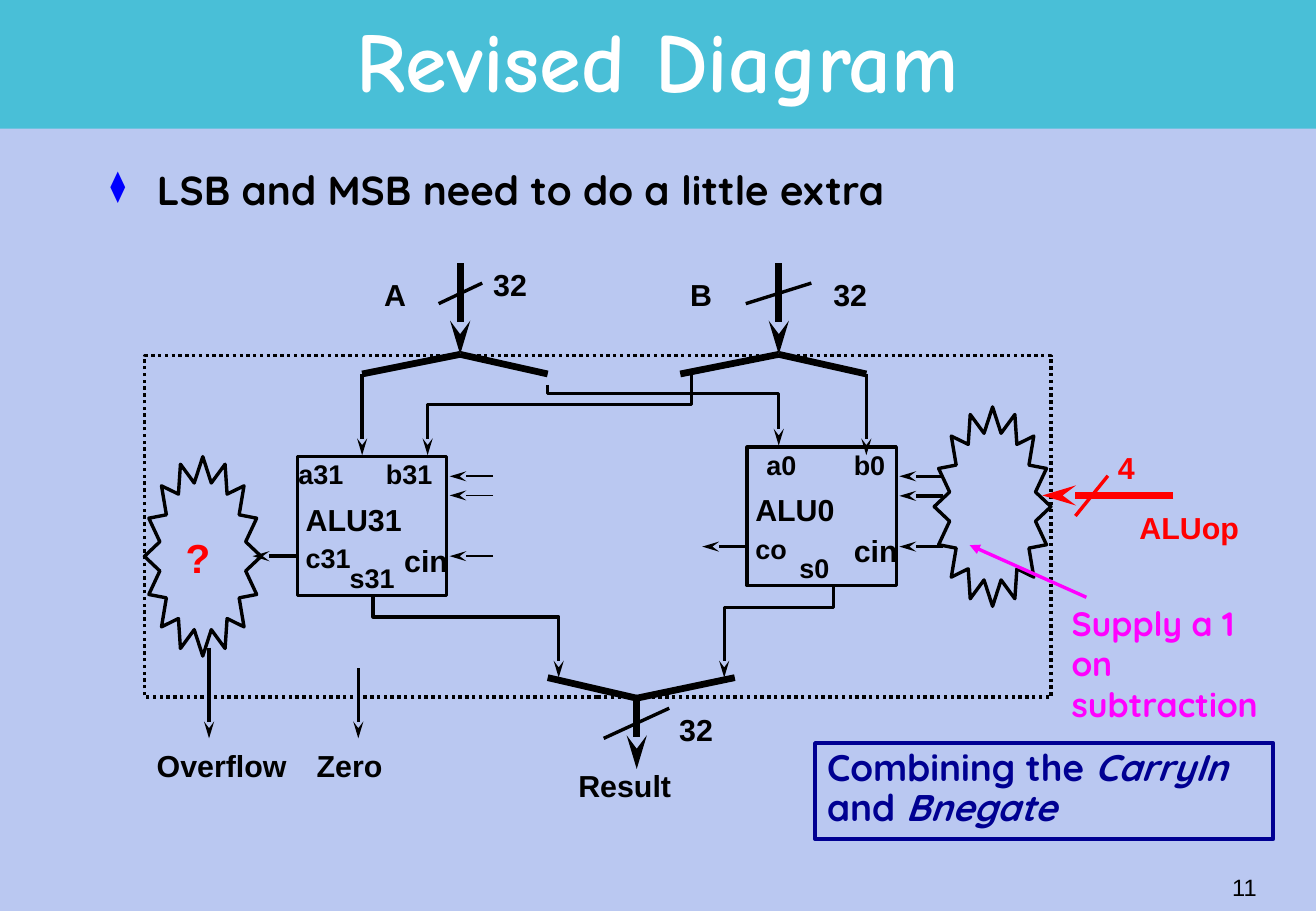
from dataclasses import dataclass
from typing import NamedTuple

from lxml.etree import SubElement
from pptx import Presentation
from pptx.dml.color import RGBColor as Rgb
from pptx.enum.dml import MSO_LINE as Dash
from pptx.enum.shapes import MSO_CONNECTOR as Link, MSO_SHAPE as Shape
from pptx.enum.text import MSO_ANCHOR as Anchor, PP_ALIGN as Align
from pptx.oxml.ns import qn
from pptx.util import Cm, Pt


class Box(NamedTuple):
    """A region in centimetres."""
    x: float
    y: float
    w: float
    h: float

    def at(self, dx, dy, w, h):
        """Return a box offset from this one's corner."""
        return Box(self.x + dx, self.y + dy, w, h)

    def lengths(self):
        """Return left, top, width and height as lengths."""
        return [Cm(value) for value in self]


@dataclass(frozen=True)
class Theme:
    """Colours, fonts and type sizes of the slide."""
    back: str = "BAC8F1"
    band: str = "49BFD7"
    ink: str = "000000"
    white: str = "FFFFFF"
    red: str = "FF0000"
    pink: str = "FF00FF"
    navy: str = "000092"
    bullet: str = "0000FF"
    display: str = "Comic Neue"
    body: str = "Quicksand"
    label: str = "Arial"
    title_size: int = 50
    body_size: int = 24
    note_size: int = 22
    hint_size: int = 20
    label_size: int = 18
    pin_size: int = 16
    number_size: int = 14


THEME = Theme()
TIGHT = dict(margin_left=Cm(0.18), margin_right=Cm(0.18),
             margin_top=Cm(0.08), margin_bottom=Cm(0.08))
ROOMY = dict(margin_left=Cm(0.25), margin_right=Cm(0.25),
             margin_top=Cm(0.13), margin_bottom=Cm(0.13))


def assign(target, values):
    """Set every attribute in a dict of format values."""
    for name, value in values.items():
        setattr(target, name, value)


def write(shape, runs, size, color=THEME.ink, font=THEME.label, bold=True,
          spacing=1.0, align=Align.LEFT, anchor=Anchor.TOP, wrap=False, margins=ROOMY):
    """Fill a shape with one paragraph of (text, italic) runs."""
    frame = shape.text_frame
    assign(frame, dict(margins, word_wrap=wrap, vertical_anchor=anchor))
    paragraph = frame.paragraphs[0]
    assign(paragraph, dict(alignment=align, line_spacing=spacing, space_before=Pt(0)))
    for text, italic in runs:
        run = paragraph.add_run()
        run.text = text
        assign(run.font, dict(name=font, size=Pt(size), bold=bold, italic=italic))
        run.font.color.rgb = Rgb.from_string(color)
    return paragraph


def add_text(slide, box, text, size, **look):
    """Add a text box holding one plain run."""
    return write(slide.shapes.add_textbox(*box.lengths()), [(text, False)], size, **look)


def add_label(slide, box, text, **look):
    """Add a tightly set diagram label."""
    look = dict(dict(spacing=0.85, margins=TIGHT), **look)
    add_text(slide, box, text, THEME.label_size, **look)


def stroke(shape, weight, color=THEME.ink, head=None, length="lg"):
    """Set a line's colour and width and an optional arrowhead at its end."""
    shape.line.color.rgb = Rgb.from_string(color)
    shape.line.width = Pt(weight)
    if head:
        SubElement(shape.element.spPr.find(qn("a:ln")), qn("a:tailEnd"),
                   type=head, w="med", len=length)


def add_line(slide, box, start, end, weight=2, color=THEME.ink, head=None, length="lg"):
    """Draw a straight line between two points of a box."""
    ends = [Cm(origin + offset) for point in (start, end)
            for origin, offset in zip((box.x, box.y), point)]
    line = slide.shapes.add_connector(Link.STRAIGHT, *ends)
    stroke(line, weight, color, head, length)
    SubElement(line.element.spPr, qn("a:effectLst"))


def add_route(slide, box, *points):
    """Draw an angular wire that ends in an arrow."""
    first, *rest = [(Cm(box.x + x), Cm(box.y + y)) for x, y in points]
    builder = slide.shapes.build_freeform(*first)
    builder.add_line_segments(rest, close=False)
    wire = builder.convert_to_shape()
    wire.fill.background()
    wire.shadow.inherit = False
    stroke(wire, 2, head="stealth")


def add_outline(slide, box, kind=Shape.RECTANGLE, weight=2, color=THEME.ink):
    """Add an unfilled outlined shape."""
    outline = slide.shapes.add_shape(kind, *box.lengths())
    outline.fill.background()
    outline.shadow.inherit = False
    stroke(outline, weight, color)
    return outline


def draw_header(slide, box):
    """Draw the title band and set the title on it."""
    band = slide.shapes.add_shape(Shape.RECTANGLE, *box.lengths())
    band.fill.solid()
    band.fill.fore_color.rgb = Rgb.from_string(THEME.band)
    band.line.fill.background()
    band.shadow.inherit = False
    title = slide.shapes.title
    area = box.at(2.06, 0.13, 23.39, 2.51)
    assign(title, dict(zip(("left", "top", "width", "height"), area.lengths())))
    write(title, [("Revised Diagram", False)], THEME.title_size, color=THEME.white,
          font=THEME.display, spacing=0.85, align=Align.CENTER,
          anchor=Anchor.MIDDLE, wrap=True)
    slide.shapes.element.append(title.element)


def draw_point(slide, box):
    """Write the bulleted statement."""
    point = add_text(slide, box, "LSB and MSB need to do a little extra",
                     THEME.body_size, font=THEME.body, spacing=0.9, wrap=True)
    props = point._p.get_or_add_pPr()
    props.set("marL", str(Cm(0.97)))
    props.set("indent", str(-Cm(0.97)))
    SubElement(SubElement(props, qn("a:buClr")), qn("a:srgbClr"), val=THEME.bullet)
    SubElement(props, qn("a:buSzPct"), val="75000")
    SubElement(props, qn("a:buChar"), char="⧫")


def draw_alu(slide, box, bit, carry, name_width, pin_width, shift, controls, weight):
    """Draw a one-bit ALU with its pin names and side arrows."""
    add_outline(slide, box)
    add_text(slide, box.at(-0.08, 0.79, name_width, 1.02), f"ALU{bit}", THEME.label_size)
    add_text(slide, box.at(1.98, 1.65, 1.42, 1.02), "cin", THEME.label_size)
    for pin, x, y in ((f"a{bit}", shift - 0.23, -0.11), (f"b{bit}", shift + 1.6, -0.11),
                      (carry, -0.08, 1.65), (f"s{bit}", 0.84, 2.06)):
        add_text(slide, box.at(x, y, pin_width, 0.94), pin, THEME.pin_size)
    for y in (*controls, 2.08):
        add_line(slide, box, (4.09, y), (3.18, y), weight, head="stealth")
    add_line(slide, box, (-0.03, 2.08), (-0.94, 2.08), head="stealth")


def draw_buses(slide, box):
    """Draw the wide operand, result and operation buses with their labels."""
    for start, end, color in (((6.6, -1.93), (6.6, -0.03), THEME.ink),
                              ((13.26, -1.93), (13.26, -0.03), THEME.ink),
                              ((10.29, 7.16), (10.29, 8.64), THEME.ink),
                              ((21.51, 2.92), (18.77, 2.92), THEME.red)):
        add_line(slide, box, start, end, 4, color, "stealth")
    for start, end, color in (((6.15, -1.09), (7.06, -1.52), THEME.ink),
                              ((12.57, -1.09), (13.94, -1.52), THEME.ink),
                              ((9.6, 8), (10.97, 7.37), THEME.ink),
                              ((19.46, 3.35), (20.14, 2.51), THEME.red)):
        add_line(slide, box, start, end, color=color)
    for hub, tips in (((6.6, -0.03), ((4.55, 0.38), (8.43, 0.38))),
                      ((13.26, -0.03), ((11.2, 0.38), (15.09, 0.38))),
                      ((10.29, 7.16), ((8.43, 6.73), (12.34, 6.73)))):
        for tip in tips:
            add_line(slide, box, hub, tip, 4)
    for text, x, y, width, color in (
            ("A", 4.83, -1.63, 0.89, THEME.ink), ("32", 7.11, -1.83, 1.14, THEME.ink),
            ("B", 11.23, -1.63, 0.89, THEME.ink), ("32", 14.22, -1.63, 1.14, THEME.ink),
            ("32", 11, 7.47, 1.14, THEME.ink), ("Result", 8.89, 8.64, 2.49, THEME.ink),
            ("4", 20.17, 1.98, 0.71, THEME.red), ("ALUop", 20.62, 3.25, 2.44, THEME.red)):
        add_label(slide, box.at(x, y, width, 0.79), text, color=color)


def draw_wires(slide, box):
    """Draw the single-bit wires and the status outputs."""
    for x, top, bottom in ((4.55, 0.38, 2.08), (15.09, 0.38, 2.08),
                           (1.35, 6.1, 8), (4.47, 6.53, 8)):
        add_line(slide, box, (x, top), (x, bottom), head="stealth")
    for x, top, turn, end, bottom in ((8.43, 0.61, 0.79, 13.26, 1.88),
                                      (11.43, 0.38, 1.02, 5.92, 2.08),
                                      (4.78, 5.05, 5.46, 8.66, 6.73),
                                      (14.4, 4.83, 5.26, 12.12, 6.73)):
        add_route(slide, box, (x, top), (x, turn), (end, turn), (end, bottom))
    for text, x, width in (("Overflow", -0.05, 3.33), ("Zero", 3.35, 1.88)):
        add_label(slide, box.at(x, 8.23, width, 0.79), text, align=Align.CENTER)


def draw_extras(slide, box):
    """Draw the extra logic of both end bits and the hint on subtraction."""
    for x, y in ((16.51, 1.07), (0, 2.11)):
        burst = add_outline(slide, box.at(x, y, 2.44, 4.17), Shape.STAR_16_POINT)
        burst.adjustments[0] = 0.375
    add_text(slide, box.at(0.61, 3.58, 1.12, 1.27), "?", THEME.body_size, color=THEME.red)
    add_line(slide, box, (19.69, 5.05), (17.25, 3.96), color=THEME.pink,
             head="triangle", length="med")
    add_text(slide, box.at(19.13, 5.03, 4.62, 2.79), "Supply a 1 on subtraction",
             THEME.hint_size, color=THEME.pink, font=THEME.body, wrap=True)


def draw_diagram(slide, box):
    """Draw the whole ALU inside its dotted frame."""
    add_outline(slide, box).line.dash_style = Dash.ROUND_DOT
    draw_buses(slide, box)
    draw_alu(slide, box.at(12.6, 1.91, 3.12, 2.9), 0, "co", 2.36, 1.26, 0.38, (0.61, 1.02), 2)
    draw_alu(slide, box.at(3.2, 2.11, 3.12, 2.9), 31, "c31", 2.74, 1.58, 0, (0.41, 0.81), 1)
    draw_wires(slide, box)
    draw_extras(slide, box)


def draw_note(slide, box):
    """Draw the framed remark."""
    write(add_outline(slide, box, weight=2.25, color=THEME.navy),
          [("Combining the ", False), ("CarryIn ", True), ("and ", False), ("Bnegate", True)],
          THEME.note_size, color=THEME.navy, font=THEME.body, spacing=0.9, wrap=True)


def main():
    """Build and save the slide."""
    deck = Presentation()
    assign(deck, dict(slide_width=Cm(27.51), slide_height=Cm(19.05)))
    slide = deck.slides.add_slide(deck.slide_layouts[5])
    slide.background.fill.solid()
    slide.background.fill.fore_color.rgb = Rgb.from_string(THEME.back)
    draw_header(slide, Box(0, 0, 27.51, 2.69))
    draw_point(slide, Box(2.06, 3.43, 23.39, 14.12))
    draw_diagram(slide, Box(3.02, 7.44, 18.95, 7.14))
    draw_note(slide, Box(17.04, 15.54, 9.58, 2.01))
    add_text(slide, Box(20.78, 17.91, 5.74, 1.27), "11", THEME.number_size, bold=False,
             align=Align.RIGHT, anchor=Anchor.MIDDLE, wrap=True)
    deck.save("out.pptx")


if __name__ == "__main__":
    main()
